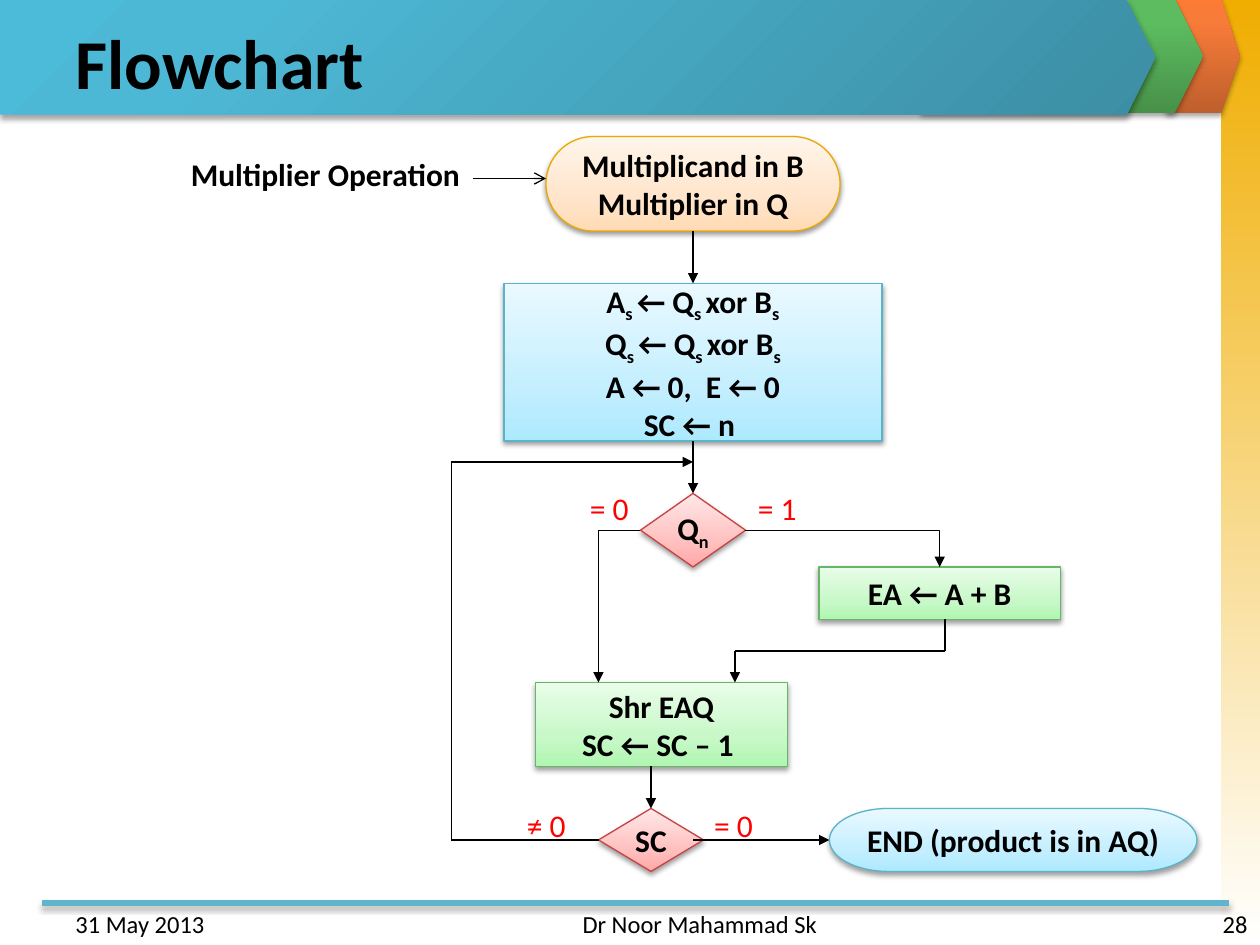
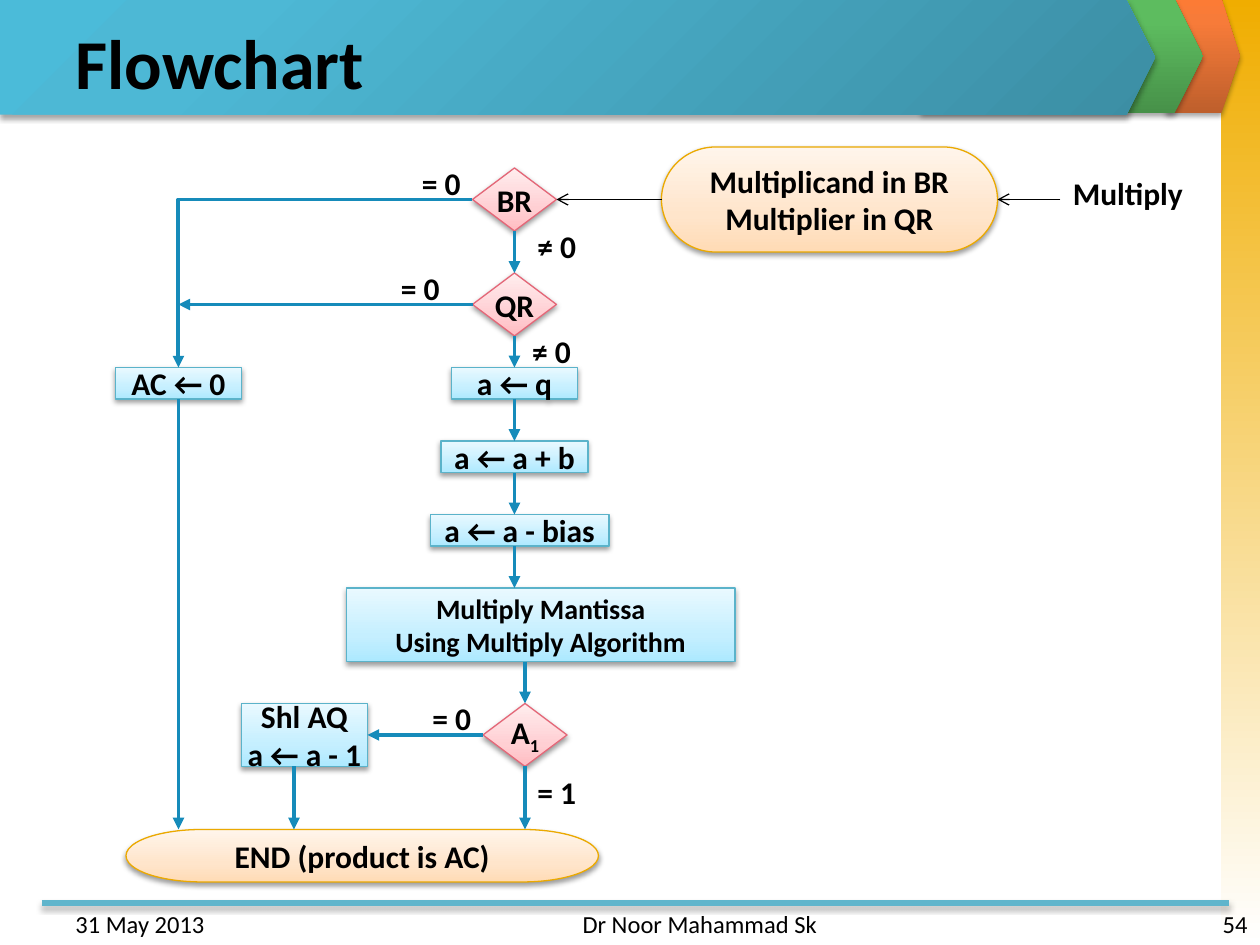
from itertools import pairwise

from pptx import Presentation
from pptx import util as u
from pptx.dml.color import RGBColor
from pptx.enum import shapes, text
from pptx.oxml import parse_xml
from pptx.oxml.ns import nsdecls, qn

Pt = u.Pt
rgb = RGBColor.from_string
PRESET = shapes.MSO_SHAPE
LEFT, CENTER, RIGHT = text.PP_ALIGN.LEFT, text.PP_ALIGN.CENTER, text.PP_ALIGN.RIGHT

UP = '<a:lin ang="16200000" scaled="0"/>'
DOWN = '<a:lin ang="5400000" scaled="0"/>'
FROM_CORNER = '<a:path path="circle"><a:fillToRect l="100000" t="100000"/></a:path>'
SHADOW = ('<a:outerShdw %s blurRad="39370" dist="%d" dir="5400000" rotWithShape="0">'
          '<a:srgbClr val="000000"><a:alpha val="%d000"/></a:srgbClr></a:outerShdw>')
BAND_SHADOW = (Pt(1.8), 35)
NODE_SHADOW = (Pt(1.6), 38)

# name: gradient stops, gradient direction, outline, shadow
PAINTS = {
    "side": ({0: "F0AD00", 100: "FFFFFF"}, DOWN, None, None),
    "orange band": ({0: "BE5F2C", 80: "F77B39", 100: "FC7B35"}, UP, None, BAND_SHADOW),
    "green band": ({0: "479149", 80: "5DBC5F", 100: "5BBF5E"}, UP, None, BAND_SHADOW),
    "title band": ({0: "3C8EA4", 80: "4DB8D5", 100: "4BBBD9"}, FROM_CORNER, None, BAND_SHADOW),
    "orange": ({0: "FFDBB5", 35: "FFE5CB", 100: "FFF5EB"}, UP, "EBA900", NODE_SHADOW),
    "blue": ({0: "ADE9FF", 35: "C5EFFF", 100: "E9F9FF"}, UP, "5BB3CA", NODE_SHADOW),
    "green": ({0: "B0F6B1", 35: "C8F8C8", 100: "E9FDE9"}, UP, "67B569", NODE_SHADOW),
    "red": ({0: "FFA7A7", 35: "FFC1C0", 100: "FFE7E7"}, UP, "C54342", NODE_SHADOW),
    "pink": ({0: "FFBCC2", 35: "FFCFD3", 100: "FFEDEE"}, UP, "E46778", NODE_SHADOW),
}
# name: colour, width, arrowhead
LINES = {
    "thin": ("000000", 0.75, "triangle"),
    "open": ("000000", 0.75, "arrow"),
    "thick": ("168BBA", 2.25, "triangle"),
    "footer": ("60B5CC", 3, None),
}
NODE_FRAME = {"word_wrap": False, "vertical_anchor": text.MSO_ANCHOR.MIDDLE}
LABEL_FRAME = {"word_wrap": False, "auto_size": text.MSO_AUTO_SIZE.SHAPE_TO_FIT_TEXT}
TITLE_FRAME = {"word_wrap": True, "vertical_anchor": text.MSO_ANCHOR.MIDDLE}
FOOTER_FRAME = {"word_wrap": True}


def add_box(s, at, words="", preset=None, paint=None, frame=NODE_FRAME,
            align=CENTER, size=18, bold=True, colour="000000"):
    """Add a painted shape, or a text box without a preset; {x} in words is a subscript."""
    at = [Pt(v) for v in at]
    if preset is None:
        sp = s.shapes.add_textbox(*at)
    else:
        sp = s.shapes.add_shape(preset, *at)
        stops, direction, edge, shadow = PAINTS[paint]
        if preset == PRESET.PENTAGON:
            sp.adjustments[0] = 0.25
        sp.line.fill.background()
        if edge:
            sp.line.color.rgb = rgb(edge)
            sp.line.width = Pt(0.75)
        sp.shadow.inherit = False
        spPr = sp._element.spPr
        if shadow:
            spPr.find(qn("a:effectLst")).append(parse_xml(SHADOW % (nsdecls("a"), *shadow)))
        marks = "".join(f'<a:gs pos="{pos}000"><a:srgbClr val="{c}"/></a:gs>'
                        for pos, c in stops.items())
        spPr.find(qn("a:prstGeom")).addnext(parse_xml(
            f'<a:gradFill {nsdecls("a")} rotWithShape="1"><a:gsLst>{marks}</a:gsLst>'
            f'{direction}</a:gradFill>'))
    tf = sp.text_frame
    for name, value in frame.items():
        setattr(tf, name, value)
    font = {"name": "Calibri", "size": Pt(size), "bold": bold}
    for i, line in enumerate(words.split("\n") if words else []):
        p = tf.add_paragraph() if i else tf.paragraphs[0]
        p.alignment = align
        for j, part in enumerate(line.replace("}", "{").split("{")):
            if not part:
                continue
            r = p.add_run()
            r.text = part
            for name, value in font.items():
                setattr(r.font, name, value)
            r.font.color.rgb = rgb(colour)
            if j % 2:
                r._r.get_or_add_rPr().set("baseline", "-25000")
    return sp


def add_route(s, style, points, nodes=(), bent=False):
    """Draw lines through the points, joined to any node whose side middle they meet."""
    colour, width, head = LINES[style]
    kind = shapes.MSO_CONNECTOR.ELBOW if bent else shapes.MSO_CONNECTOR.STRAIGHT
    points = [(Pt(x), Pt(y)) for x, y in points]
    for start, end in pairwise(points):
        c = s.shapes.add_connector(kind, *start, *end)
        c.line.color.rgb = rgb(colour)
        c.line.width = Pt(width)
        spPr = c._element.spPr
        if head and end == points[-1]:
            spPr.find(qn("a:ln")).append(parse_xml(f'<a:tailEnd {nsdecls("a")} type="{head}"/>'))
        effects = parse_xml(f'<a:effectLst {nsdecls("a")}/>')
        spPr.append(effects)
        if style == "footer":
            effects.append(parse_xml(SHADOW % (nsdecls("a"), *BAND_SHADOW)))
        if bent:
            spPr.find(qn("a:prstGeom")).set("prst", "bentConnector2")
            continue
        for n in nodes:
            mid_x, mid_y = n.left + n.width // 2, n.top + n.height // 2
            sides = [(mid_x, n.top), (n.left, mid_y),
                     (mid_x, n.top + n.height), (n.left + n.width, mid_y)]
            if start in sides:
                c.begin_connect(n, sides.index(start))
            if end in sides:
                c.end_connect(n, sides.index(end))


BOX, STEP = PRESET.RECTANGLE, PRESET.FLOWCHART_PROCESS
TEST, ENDING = PRESET.FLOWCHART_DECISION, PRESET.FLOWCHART_TERMINATOR

fixed_point = {
    "page": "28",
    "nodes": [
        ((312, 78, 168, 54), "Multiplicand in B\nMultiplier in Q", ENDING, "orange"),
        ((288, 162, 216, 90), "A{s }← Q{s }xor B{s}\nQ{s }← Q{s }xor B{s}\n"
                              "A ← 0,  E ← 0\nSC ← n ", STEP, "blue"),
        ((366, 282, 60, 42), "Q{n}", TEST, "red"),
        ((468, 324, 138, 30), "EA ← A + B", BOX, "green"),
        ((306, 390, 144, 48), "Shr EAQ\nSC ← SC – 1 ", BOX, "green"),
        ((342, 462, 60, 36), "SC", TEST, "red"),
        ((474, 462, 210, 36), "END (product is in AQ)", ENDING, "blue"),
    ],
    "routes": [
        ("thin", [(396, 132), (396, 162)]),
        ("thin", [(396, 252), (396, 282)]),
        ("thin", [(540, 354), (540, 372), (420, 372), (420, 390)]),
        ("thin", [(372, 438), (372, 462)]),
        ("thin", [(342, 480), (258, 480), (258, 264), (396, 264)]),
        ("thin", [(396, 480), (474, 480)]),
        ("open", [(270, 102), (312, 102)]),
    ],
    "bends": [("thin", [(366, 303), (342, 390)]), ("thin", [(426, 303), (537, 324)])],
    "entry": ((102, 85, 186, 29), "Multiplier Operation"),
    "branches": [(330, 276, "= 0"), (426, 276, "= 1"), (294, 457, "≠ 0"), (401, 457, "= 0")],
    "branch font": {"bold": False, "colour": "FF0000"},
}

floating_point = {
    "page": "54",
    "nodes": [
        ((378, 84, 192, 60), "Multiplicand in BR\nMultiplier in QR", ENDING, "orange"),
        ((270, 96, 48, 36), "BR", TEST, "pink"),
        ((270, 156, 48, 36), "QR", TEST, "pink"),
        ((258, 210, 72, 18), "a ← q", BOX, "blue"),
        ((252, 252, 84, 18), "a ← a + b", BOX, "blue"),
        ((246, 294, 102, 18), "a ← a - bias", BOX, "blue"),
        ((198, 336, 222, 42), "Multiply Mantissa\nUsing Multiply Algorithm", BOX, "blue",
         NODE_FRAME, CENTER, 16),
        ((276, 402, 48, 36), "A{1}", TEST, "pink"),
        ((138, 402, 72, 36), "Shl AQ\na ← a - 1", BOX, "blue"),
        ((66, 210, 72, 18), "AC ← 0", BOX, "blue"),
        ((72, 474, 270, 30), "END (product is AC)", ENDING, "orange"),
    ],
    "routes": [
        *(("thick", [(294, top), (294, bottom)]) for top, bottom in
          ((132, 156), (192, 210), (228, 252), (270, 294), (312, 336))),
        ("thick", [(300, 378), (300, 402)]),
        ("thick", [(276, 420), (210, 420)]),
        ("thick", [(102, 228), (102, 474)]),
        ("thick", [(168, 438), (168, 474)]),
        ("thick", [(300, 438), (300, 474)]),
        ("thick", [(270, 174), (102, 174)]),
        ("open", [(378, 114), (318, 114)]),
        ("open", [(606, 114), (570, 114)]),
    ],
    "bends": [("thick", [(270, 114), (102, 210)])],
    "entry": ((606, 96, 78, 29), "Multiply"),
    "branches": [(240, 396, "= 0"), (300, 438, "= 1"), (234, 90, "= 0"),
                 (222, 150, "= 0"), (297, 186, "≠ 0"), (300, 126, "≠ 0")],
    "branch font": {},
}

prs = Presentation()
prs.slide_width, prs.slide_height = Pt(720), Pt(540)

for chart in (fixed_point, floating_point):
    s = prs.slides.add_slide(prs.slide_layouts[6])

    # Bands, title and footer
    add_box(s, (697.5, 0, 22.5, 540), "", BOX, "side")
    add_box(s, (666, -0.75, 42.5, 65.5), "", PRESET.PENTAGON, "orange band")
    add_box(s, (526.5, -0.75, 161, 65.5), "", PRESET.PENTAGON, "green band")
    add_route(s, "footer", [(24, 516), (702, 516)])
    add_box(s, (0, 0, 660, 65.5), "", PRESET.PENTAGON, "title band")
    add_box(s, (36, 10, 648, 50), "Flowchart", frame=TITLE_FRAME, align=LEFT, size=40)
    for left, width, words, align in ((36, 168, "31 May 2013", LEFT),
                                      (246, 228, "Dr Noor Mahammad Sk", RIGHT),
                                      (552, 168, chart["page"], RIGHT)):
        add_box(s, (left, 516, width, 18), words, frame=FOOTER_FRAME,
                align=align, size=14, bold=False)

    # Flowchart
    nodes = [add_box(s, *node) for node in chart["nodes"]]
    for style, points in chart["routes"]:
        add_route(s, style, points, nodes)
    for style, points in chart["bends"]:
        add_route(s, style, points, bent=True)
    add_box(s, *chart["entry"], frame=LABEL_FRAME, align=LEFT)
    for x, y, words in chart["branches"]:
        add_box(s, (x, y, 36.75, 29), words, frame=LABEL_FRAME, align=LEFT,
                **chart["branch font"])

prs.save("out.pptx")
